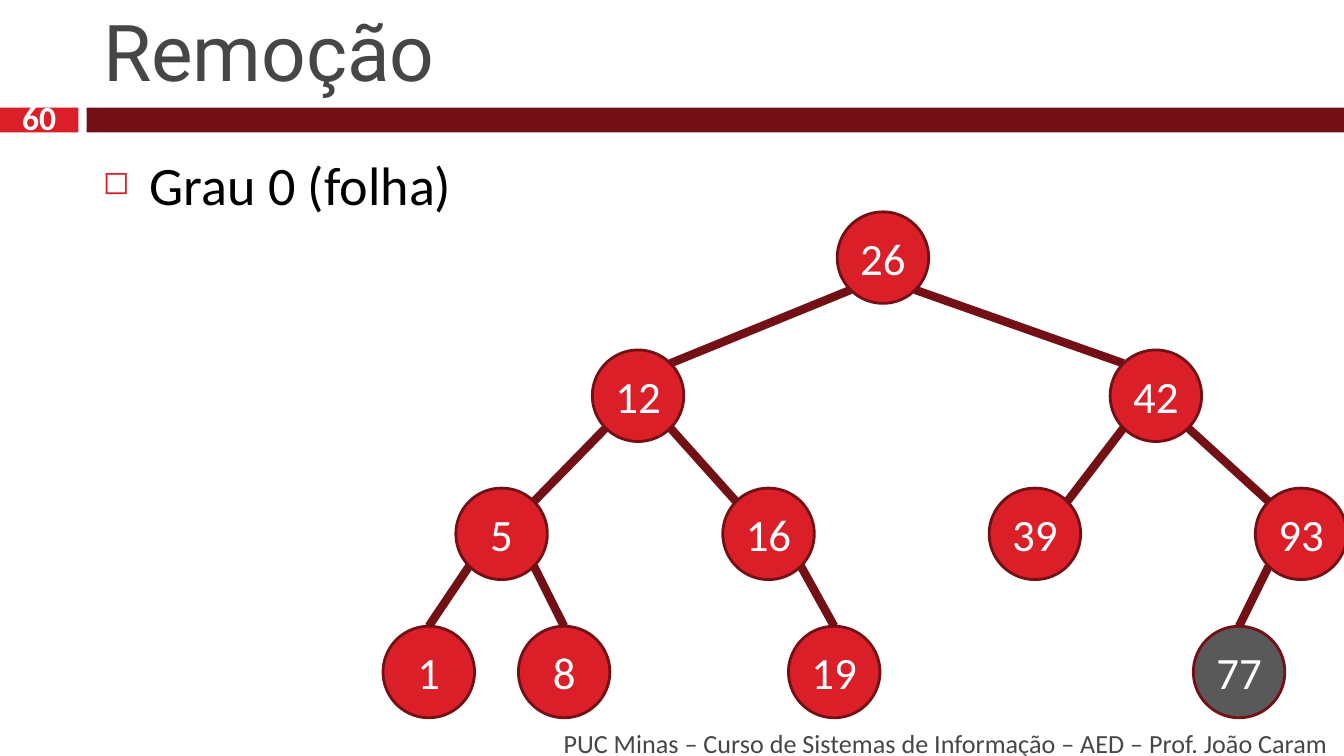
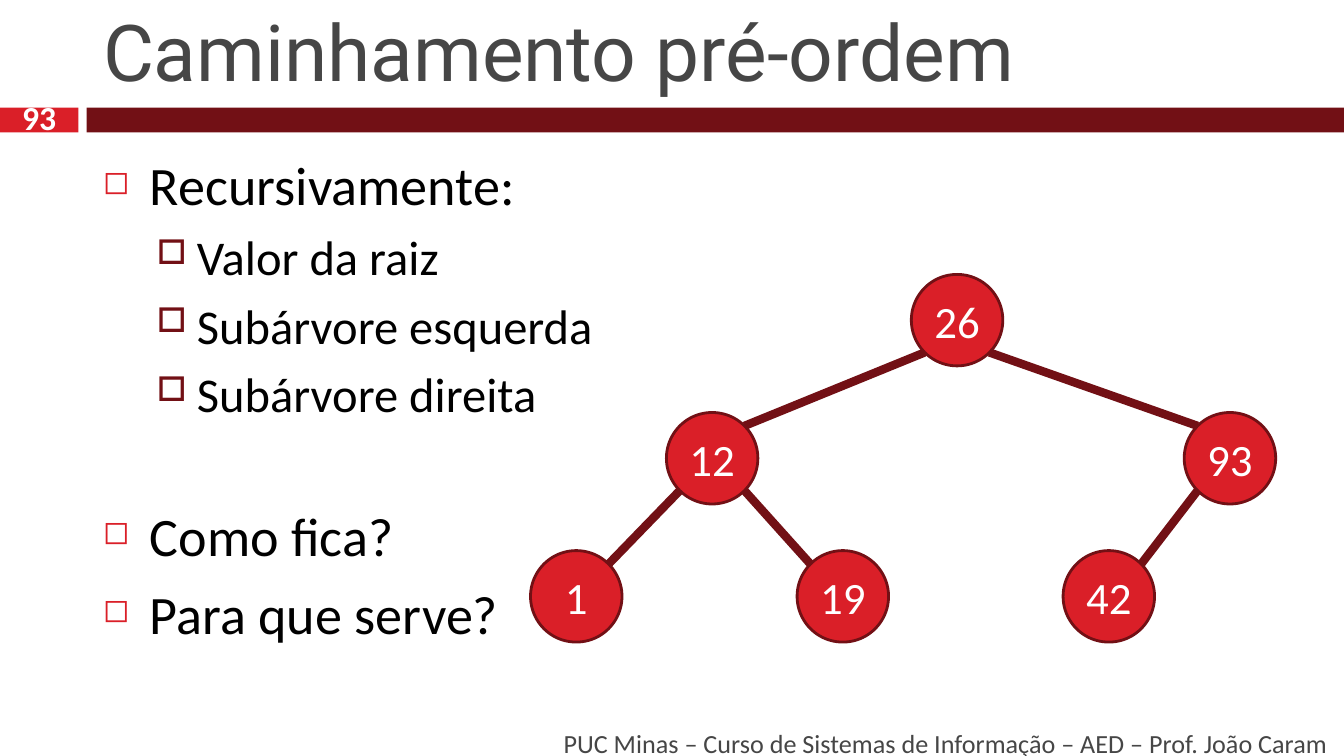
from math import sqrt

from lxml.etree import SubElement
from pptx import Presentation
from pptx.dml.color import RGBColor
from pptx.enum.shapes import MSO_CONNECTOR as Link, MSO_SHAPE as Shape
from pptx.enum.text import MSO_ANCHOR as Anchor, MSO_AUTO_SIZE as Fit, PP_ALIGN as Align
from pptx.oxml.ns import qn
from pptx.util import Pt

RED, WINE, GRAY, INK, WHITE, BLACK = "DA1F28", "721015", "595959", "464646", "FFFFFF", "000000"
SIZE, STEP = 49, 74
REACH = SIZE / 2 / sqrt(2)
FOOT = "PUC Minas – Curso de Sistemas de Informação – AED – Prof. João Caram"

TITLE = {"name": "Roboto", "size": Pt(42), "bold": False}
BODY = {"name": "Calibri", "size": Pt(29)}
SUB = {"name": "Calibri", "size": Pt(26)}
NODE = {"name": "Calibri", "size": Pt(24)}
NOTE = {"name": "Calibri", "size": Pt(14)}
PAGE = {"name": "Calibri", "size": Pt(18), "bold": True}

LEVELS = [
    {"font": BODY, "mark": "◻", "tint": RED, "scale": 60, "left": 25.2, "hang": 25.2, "gap": 7},
    {"font": SUB, "mark": "□", "tint": WINE, "scale": 70, "left": 50.4, "hang": 21.6, "gap": 5.5},
]


def paint(color, code):
    color.rgb = RGBColor.from_string(code)


def fill(shape, code):
    shape.fill.solid()
    paint(shape.fill.fore_color, code)


def apply(target, form):
    for key, value in form.items():
        setattr(target, key, value)


def place(shape, box):
    apply(shape, dict(zip(("left", "top", "width", "height"), map(Pt, box))))


def write(par, text, font, code, align=Align.LEFT):
    par.text = text
    par.alignment = align
    apply(par.font, font)
    paint(par.font.color, code)


def add_text(slide, box, text, font, code, align):
    frame = slide.shapes.add_textbox(*map(Pt, box)).text_frame
    apply(frame, {"word_wrap": True, "vertical_anchor": Anchor.MIDDLE})
    write(frame.paragraphs[0], text, font, code, align)


def add_band(slide, left, width, code):
    band = slide.shapes.add_shape(Shape.RECTANGLE, *map(Pt, (left, 57.6, width, 13.4)))
    band.shadow.inherit = False
    fill(band, code)
    band.line.fill.background()


def add_slide(deck, title, page):
    slide = deck.slides.add_slide(deck.slide_layouts[5])
    add_band(slide, 0, 42, RED)
    add_band(slide, 46.5, 673.5, WINE)
    head = slide.shapes.title
    place(head, (48, 9.4, 664, 46))
    apply(head.text_frame, {"word_wrap": True, "auto_size": Fit.NONE,
                            "vertical_anchor": Anchor.BOTTOM})
    write(head.text_frame.paragraphs[0], title, TITLE, INK)
    add_text(slide, (76.3, 387.4, 642.2, 21.6), FOOT, NOTE, INK, Align.RIGHT)
    add_text(slide, (0, 55.4, 42, 14.4), page, PAGE, WHITE, Align.CENTER)
    return slide


def add_mark(par, level):
    props = par._p.get_or_add_pPr()
    props.set("marL", str(Pt(level["left"])))
    props.set("indent", str(-Pt(level["hang"])))
    tint = SubElement(props, qn("a:buClr"))
    SubElement(tint, qn("a:srgbClr"), val=level["tint"])
    SubElement(props, qn("a:buSzPct"), val=str(level["scale"] * 1000))
    SubElement(props, qn("a:buChar"), char=level["mark"])


def add_list(slide, items):
    frame = slide.shapes.add_textbox(*map(Pt, (48, 77.8, 664, 306))).text_frame
    frame.word_wrap = True
    for rank, (depth, text, extra) in enumerate(items):
        par = frame.add_paragraph() if rank else frame.paragraphs[0]
        level = LEVELS[depth]
        add_mark(par, level)
        write(par, text, level["font"], BLACK)
        if rank:
            par.space_before = Pt(level["gap"] + extra)


def add_node(group, text, left, top, code):
    node = group.shapes.add_shape(Shape.OVAL, *map(Pt, (left, top, SIZE, SIZE)))
    node.shadow.inherit = False
    fill(node, code)
    paint(node.line.color, WINE)
    node.line.width = Pt(1.5)
    frame = node.text_frame
    apply(frame, {"margin_left": Pt(3), "margin_right": Pt(3),
                  "vertical_anchor": Anchor.MIDDLE})
    write(frame.paragraphs[0], text, NODE, WHITE, Align.CENTER)
    return node


def add_edge(group, start, end, leaf):
    half, reach = Pt(SIZE / 2), Pt(REACH)
    side = reach if end.left > start.left else -reach
    edge = group.shapes.add_connector(
        Link.STRAIGHT, start.left + half + side, start.top + half + reach,
        end.left + half - side, end.top + half - reach)
    if leaf:
        edge.end_connect(end, 0)
    paint(edge.line.color, WINE)
    edge.line.width = Pt(4.5)
    SubElement(edge._element.spPr, qn("a:effectLst"))


def add_tree(slide, top, tree, faded=()):
    group = slide.shapes.add_group_shape()
    nodes = {}
    for key, (depth, left, _) in tree.items():
        code = GRAY if key in faded else RED
        nodes[key] = add_node(group, str(key), left, top + depth * STEP, code)
    for key, (depth, _, root) in tree.items():
        if root:
            add_edge(group, nodes[root], nodes[key], depth == 3)


def main():
    deck = Presentation()
    apply(deck, {"slide_width": Pt(720), "slide_height": Pt(405)})

    slide = add_slide(deck, "Remoção", "60")
    add_list(slide, [(0, "Grau 0 (folha)", 0)])
    add_tree(slide, 113.5, {
        26: (0, 448.5, None),
        12: (1, 317.3, 26), 42: (1, 594.7, 26),
        5: (2, 244.2, 12), 16: (2, 387.2, 12), 39: (2, 529.9, 42), 93: (2, 672.5, 42),
        1: (3, 205.2, 5), 8: (3, 277.7, 5), 19: (3, 422.4, 16), 77: (3, 639.3, 93),
    }, faded=(77,))

    slide = add_slide(deck, "Caminhamento pré-ordem", "93")
    add_list(slide, [
        (0, "Recursivamente:", 0),
        (1, "Valor da raiz", 0),
        (1, "Subárvore esquerda", 0),
        (1, "Subárvore direita", 0),
        (0, "Como fica?", 36),
        (0, "Para que serve?", 0),
    ])
    add_tree(slide, 147, {
        26: (0, 488.2, None),
        12: (1, 357, 26), 93: (1, 634.4, 26),
        1: (2, 284.2, 12), 19: (2, 427, 12), 42: (2, 569.5, 93),
    })

    deck.save("out.pptx")


if __name__ == "__main__":
    main()
